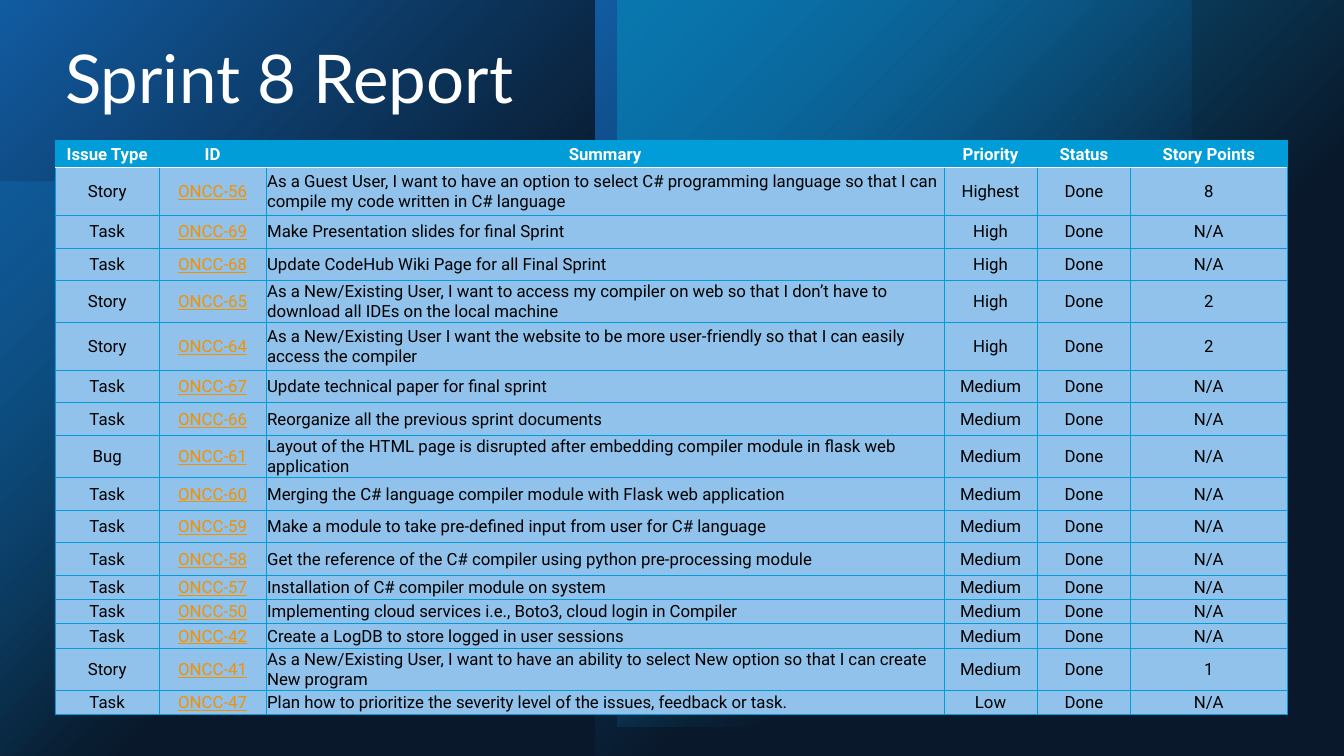
import pptx
import pptx.util
import pptx.oxml
import pptx.oxml.ns
import pptx.dml.color
import pptx.enum.shapes
import pptx.enum.text

Pt = pptx.util.Pt
KIND = pptx.enum.shapes.MSO_SHAPE
ALIGN = pptx.enum.text.PP_ALIGN
ANCHOR = pptx.enum.text.MSO_ANCHOR
NS = pptx.oxml.ns.nsdecls("a")

HEAD = ["Issue Type", "ID", "Summary", "Priority", "Status", "Story Points"]
COLS = [74.16, 76.5, 484.1, 66.7, 66.7, 111.7]
ROWS = [
    (33.9, "Story", 56, "As a Guest User, I want to have an option to select C# programming language so that I can compile my code written in C# language", "Highest", "8"),
    (23.3, "Task", 69, "Make Presentation slides for final Sprint", "High", "N/A"),
    (23.3, "Task", 68, "Update CodeHub Wiki Page for all Final Sprint", "High", "N/A"),
    (30.2, "Story", 65, "As a New/Existing User, I want to access my compiler on web so that I don’t have to download all IDEs on the local machine", "High", "2"),
    (33.9, "Story", 64, "As a New/Existing User I want the website to be more user-friendly so that I can easily access the compiler", "High", "2"),
    (23.3, "Task", 67, "Update technical paper for final sprint", "Medium", "N/A"),
    (23.3, "Task", 66, "Reorganize all the previous sprint documents", "Medium", "N/A"),
    (30.2, "Bug", 61, "Layout of the HTML page is disrupted after embedding compiler module in flask web application", "Medium", "N/A"),
    (23.3, "Task", 60, "Merging the C# language compiler module with Flask web application", "Medium", "N/A"),
    (23.3, "Task", 59, "Make a module to take pre-defined input from user for C# language", "Medium", "N/A"),
    (23.3, "Task", 58, "Get the reference of the C# compiler using python pre-processing module", "Medium", "N/A"),
    (17.3, "Task", 57, "Installation of C# compiler module on system", "Medium", "N/A"),
    (17.3, "Task", 50, "Implementing cloud services i.e., Boto3, cloud login in Compiler", "Medium", "N/A"),
    (17.3, "Task", 42, "Create a LogDB to store logged in user sessions", "Medium", "N/A"),
    (30.2, "Story", 41, "As a New/Existing User, I want to have an ability to select New option so that I can create New program", "Medium", "1"),
    (17.3, "Task", 47, "Plan how to prioritize the severity level of the issues, feedback or task.", "Low", "N/A"),
]


def tint(code):
    return pptx.dml.color.RGBColor.from_string(code)


def ink(code, alpha):
    return f'<a:srgbClr val="{code}"><a:alpha val="{alpha * 1000}"/></a:srgbClr>'


def wash(code, alpha):
    return f"<a:solidFill {NS}>{ink(code, alpha)}</a:solidFill>"


def glow(code, alpha):
    return (f'<a:gradFill {NS} rotWithShape="1"><a:gsLst><a:gs pos="0">{ink(code, alpha)}</a:gs>'
            f'<a:gs pos="60000">{ink(code, 0)}</a:gs></a:gsLst><a:path path="circle">'
            '<a:fillToRect r="100000" b="100000"/></a:path></a:gradFill>')


def panel(slide, box, fill, kind=KIND.RECTANGLE):
    shape = slide.shapes.add_shape(kind, *map(Pt, box))
    shape.shadow.inherit = False
    shape.line.fill.background()
    props = shape.element.spPr
    props.find(pptx.oxml.ns.qn("a:ln")).addprevious(pptx.oxml.parse_xml(fill))
    if kind == KIND.OVAL:
        soft = pptx.oxml.parse_xml(f'<a:softEdge {NS} rad="1270000"/>')
        props.find(pptx.oxml.ns.qn("a:effectLst")).append(soft)


def scene(slide, box):
    left, top, wide, high = box
    slide.background.fill.solid()
    slide.background.fill.fore_color.rgb = tint("000000")
    half = 425.5
    panel(slide, (left, top + 129.5, 411, 411), glow("009DD9", 60))
    panel(slide, (left + 453, top + 31, 340, 340), wash("0BD0D9", 60), KIND.OVAL)
    panel(slide, (left, top + 40, 500, 500), wash("0BD0D9", 20), KIND.OVAL)
    for step in range(2):
        panel(slide, (left + step * half, top, half, high), glow("0F6FC6", 100))
    panel(slide, (left + 441, top, 519, 519), glow("009DD9", 100))
    panel(slide, box, wash("17406D", 40))


def title(slide, box):
    frame = slide.shapes.add_textbox(*map(Pt, box)).text_frame
    frame.word_wrap = True
    para = frame.paragraphs[0]
    para.text = "Sprint 8 Report"
    para.line_spacing = 0.9
    para.font.size = Pt(48)
    para.font.name = "Lato"
    para.font.color.rgb = tint("FFFFFF")


def edge(cell, side, code, width):
    cell._tc.get_or_add_tcPr().append(pptx.oxml.parse_xml(
        f'<a:ln{side} {NS} w="{int(Pt(width))}"><a:solidFill>{ink(code, 100)}</a:solidFill></a:ln{side}>'))


def write(cell, text, col, row):
    head = row == 0
    link = col == 1 and not head
    for side in "LRTB":
        white = (side == "B" and head) or (side == "T" and row == 1)
        edge(cell, side, "FFFFFF" if white else "009DD9", 1 if white else 0.5)
    cell.fill.solid()
    cell.fill.fore_color.rgb = tint("009DD9" if head else "90C2EB")
    cell.margin_left = cell.margin_right = cell.margin_top = Pt(0.7)
    cell.margin_bottom = 0
    cell.vertical_anchor = ANCHOR.MIDDLE
    para = cell.text_frame.paragraphs[0]
    para.text = text
    para.alignment = ALIGN.LEFT if col == 2 and not head else ALIGN.CENTER
    para.font.size = Pt(12)
    para.font.name = "Roboto"
    para.font.bold = head
    para.font.underline = link
    para.font.color.rgb = tint("FFFFFF" if head else "F49100" if link else "000000")


def report(slide, box):
    table = slide.shapes.add_table(len(ROWS) + 1, len(COLS), *map(Pt, box)).table
    table.horz_banding = False
    for col, width in zip(table.columns, COLS):
        col.width = Pt(width)
    highs = [19.4] + [line[0] for line in ROWS]
    texts = [HEAD] + [[kind, f"ONCC-{num}", text, rank, "Done", score]
                      for _, kind, num, text, rank, score in ROWS]
    for row, (high, line) in enumerate(zip(highs, texts)):
        table.rows[row].height = Pt(high)
        for col, text in enumerate(line):
            write(table.cell(row, col), text, col, row)


def main():
    deck = pptx.Presentation()
    deck.slide_width, deck.slide_height = Pt(960), Pt(540)
    slide = deck.slides.add_slide(deck.slide_layouts[6])
    scene(slide, (0, 0, 960, 540))
    report(slide, (39.5, 100.5, 874, 410.4))
    title(slide, (39.5, 29, 874, 71))
    deck.save("out.pptx")


if __name__ == "__main__":
    main()
